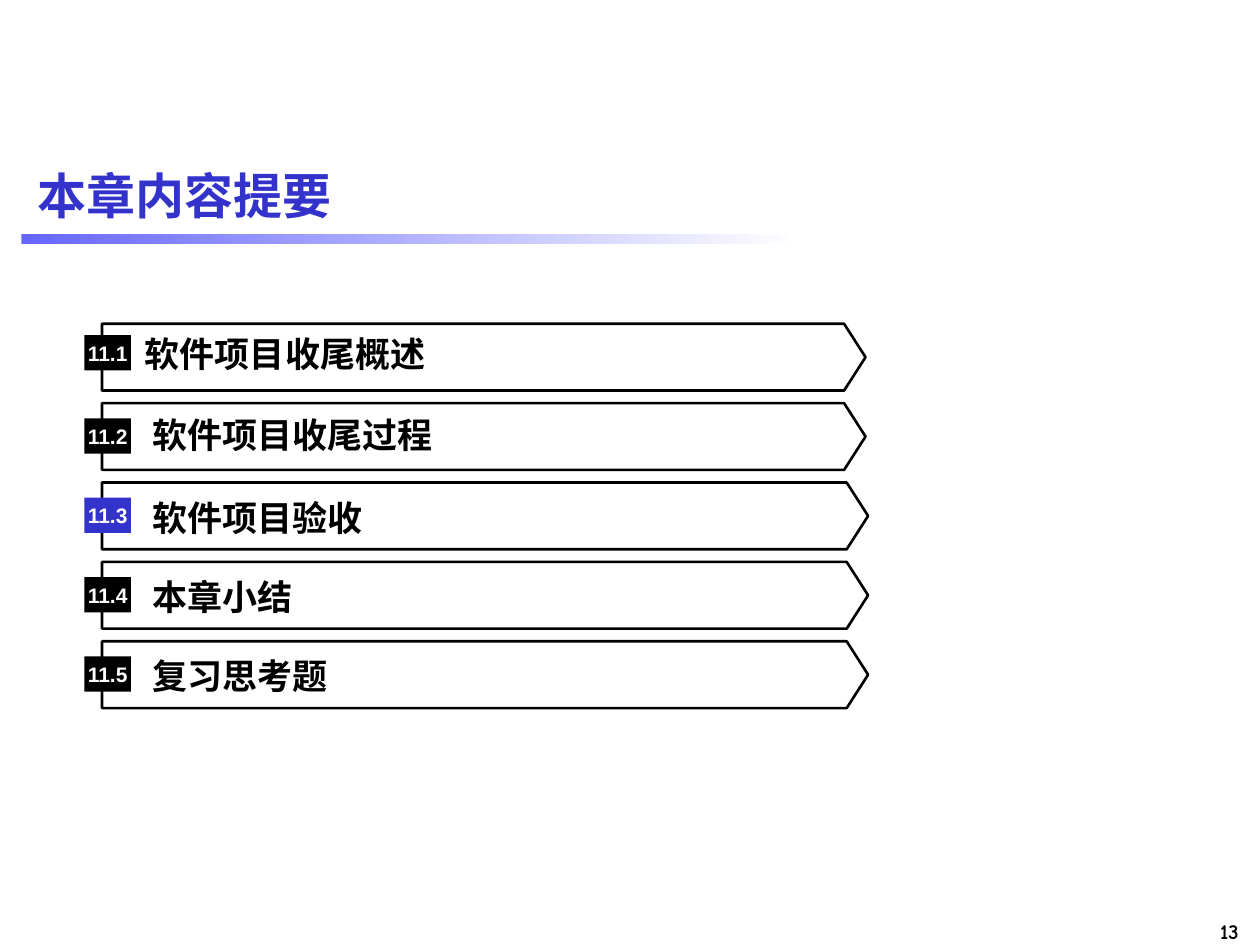
from lxml import etree
from pptx import Presentation
from pptx.dml.color import RGBColor
from pptx.enum.shapes import MSO_SHAPE
from pptx.enum.text import MSO_ANCHOR, PP_ALIGN
from pptx.oxml.ns import qn
from pptx.util import Inches, Pt

BLACK = RGBColor(0x00, 0x00, 0x00)
WHITE = RGBColor(0xFF, 0xFF, 0xFF)
BLUE = RGBColor(0x33, 0x33, 0xCC)
LIGHT_BLUE = RGBColor(0x66, 0x66, 0xFF)


def write_text(shape, text, size, color, align=PP_ALIGN.LEFT, font_name="Arial", inset=0, wrap=True):
    """Put one bold, vertically centred line of text into a shape."""
    frame = shape.text_frame
    frame.word_wrap = wrap
    frame.vertical_anchor = MSO_ANCHOR.MIDDLE
    frame.margin_left = frame.margin_right = Inches(inset)
    frame.margin_top = frame.margin_bottom = 0
    paragraph = frame.paragraphs[0]
    paragraph.text = text
    paragraph.alignment = align
    font = paragraph.font
    font.size = Pt(size)
    font.bold = True
    font.color.rgb = color
    font.name = font_name
    east_asian = etree.Element(qn("a:ea"), typeface="Noto Sans CJK SC")
    font._element.find(qn("a:latin")).addnext(east_asian)


def add_rectangle(shapes, left, top, width, height):
    """Add a rectangle without line or shadow."""
    shape = shapes.add_shape(
        MSO_SHAPE.RECTANGLE, Inches(left), Inches(top), Inches(width), Inches(height))
    shape.shadow.inherit = False
    shape.line.fill.background()
    return shape


presentation = Presentation()
presentation.slide_width = Inches(10)
presentation.slide_height = Inches(7.5)
slide = presentation.slides.add_slide(presentation.slide_layouts[6])

# Page number
page_number = slide.shapes.add_textbox(Inches(9.01), Inches(7.24), Inches(0.92), Inches(0.3))
write_text(page_number, "13", 12, BLACK, PP_ALIGN.RIGHT, "Comic Neue", 0.1, wrap=False)

# Gradient rule under the title
rule = add_rectangle(slide.shapes, 0.17, 1.86, 6.17, 0.08)
rule.fill.gradient()
rule.fill.gradient_angle = 0
for stop, color, position in zip(rule.fill.gradient_stops, (LIGHT_BLUE, WHITE), (0, 1)):
    stop.color.rgb = color
    stop.position = position

# Title
title = slide.shapes.add_textbox(Inches(0.2), Inches(1.15), Inches(9.61), Inches(0.79))
write_text(title, "本章内容提要", 28, BLUE, inset=0.1)

# Chapter sections: text, badge colour, right tip, text left, text and badge offsets
sections = [
    ("软件项目收尾概述", BLACK, 6.87, 1.15, 0.07, 0.09),
    ("软件项目收尾过程", BLACK, 6.87, 1.21, 0.08, 0.12),
    ("软件项目验收", BLUE, 6.89, 1.21, 0.11, 0.12),
    ("本章小结", BLACK, 6.89, 1.21, 0.11, 0.12),
    ("复习思考题", BLACK, 6.89, 1.21, 0.11, 0.12),
]
for index, (text, badge_color, tip, text_left, text_offset, badge_offset) in enumerate(sections):
    top = 2.57 + 0.63 * index
    bottom = top + 0.53
    shoulder = tip - 0.17
    group = slide.shapes.add_group_shape()

    # Arrow-ended outline
    builder = group.shapes.build_freeform(Inches(0.81), Inches(top))
    corners = [(shoulder, top), (tip, (top + bottom) / 2), (shoulder, bottom), (0.81, bottom)]
    builder.add_line_segments([(Inches(x), Inches(y)) for x, y in corners], close=True)
    outline = builder.convert_to_shape()
    outline.shadow.inherit = False
    outline.fill.background()
    outline.line.color.rgb = BLACK
    outline.line.width = Pt(1.5)

    # Section name
    label = group.shapes.add_textbox(
        Inches(text_left), Inches(top + text_offset), Inches(5.3), Inches(0.33))
    write_text(label, text, 20, BLACK)

    # Number badge
    badge = add_rectangle(group.shapes, 0.67, top + badge_offset, 0.37, 0.28)
    badge.fill.solid()
    badge.fill.fore_color.rgb = badge_color
    write_text(badge, f"11.{index + 1}", 12, WHITE, PP_ALIGN.CENTER)

presentation.save("out.pptx")
